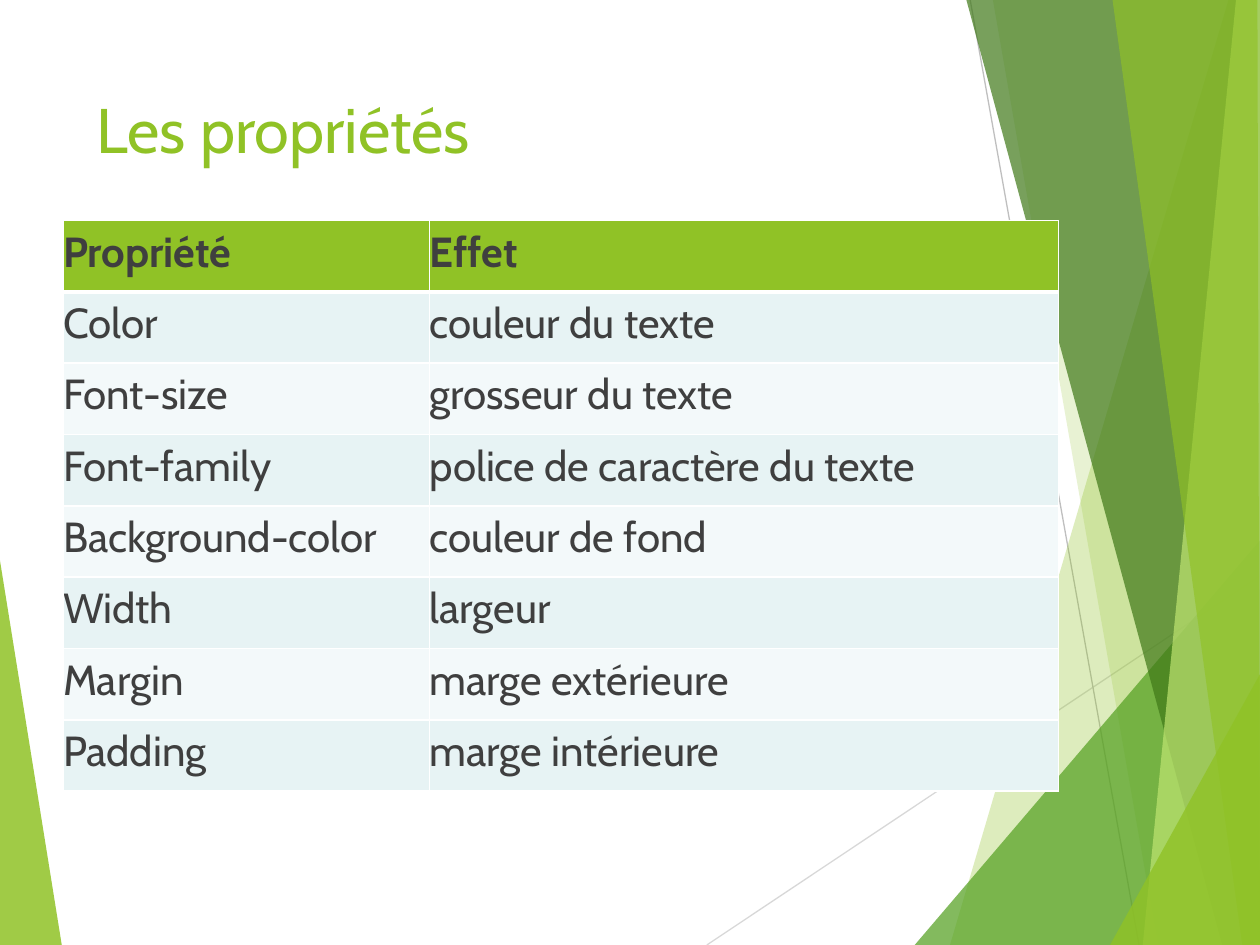
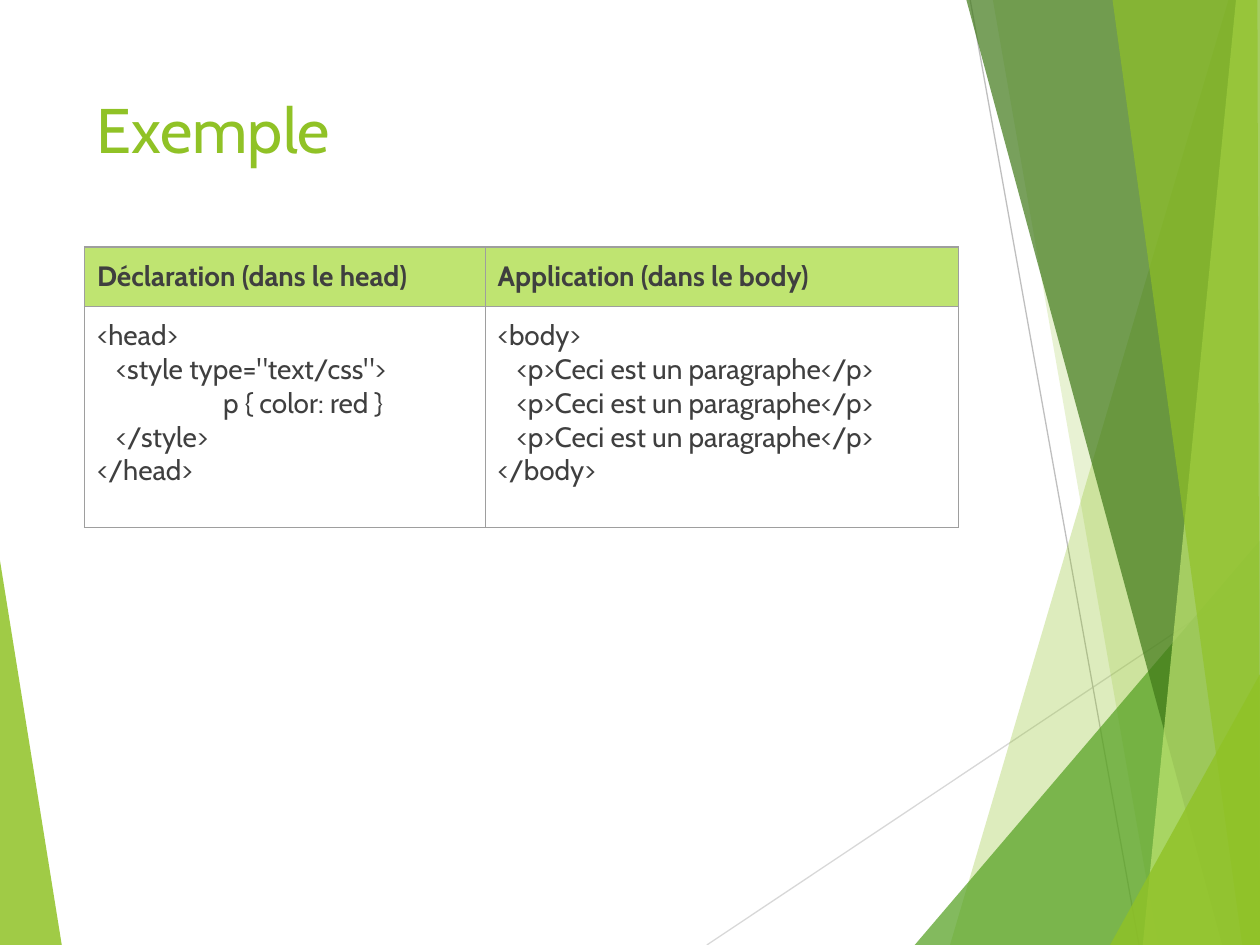
from lxml.etree import SubElement
from pptx import Presentation
from pptx.dml.color import RGBColor
from pptx.enum.shapes import MSO_CONNECTOR
from pptx.enum.text import MSO_ANCHOR
from pptx.oxml.ns import qn
from pptx.util import Inches, Pt

# Content
PROPS = [
    ("Propriété", "Effet"),
    ("Color", "couleur du texte"),
    ("Font-size", "grosseur du texte"),
    ("Font-family", "police de caractère du texte"),
    ("Background-color", "couleur de fond"),
    ("Width", "largeur"),
    ("Margin", "marge extérieure"),
    ("Padding", "marge intérieure"),
]
# Each code line is its indent in inches, then its text
STEP = 0.15
CALL = (STEP, "<p>Ceci est un paragraphe</p>")
HEAD = [
    (0, "<head>"),
    (STEP, '<style type="text/css">'),
    (1, "p { color: red }"),
    (STEP, "</style>"),
    (0, "</head>"),
]
BODY = [(0, "<body>"), CALL, CALL, CALL, (0, "</body>")]
CODE = [
    ("Déclaration (dans le head)", "Application (dans le body)"),
    (HEAD, BODY),
]

# Shared look
FONT = "Cabin"
GREEN, LIME, INK, WHITE, GRAY = "90C226", "BFE471", "3F3F3F", "FFFFFF", "9E9E9E"
BANDS = ("F3F9FA", "E7F3F4")
WIDE, HIGH = 10, 7.5

# Background: lines as ends and colour, panes as colour, opacity and corners
LINES = [
    ((5.61, HIGH), (WIDE, 4.57), "D8D8D8"),
    ((7.7, 0), (9.04, HIGH), "BFBFBF"),
]
LEFT = (GREEN, 85, [(0, 4.45), (0.49, HIGH), (0, HIGH)])
PANES = [
    (GREEN, 30, [(9.75, 0), (7.54, HIGH), (WIDE, HIGH), (WIDE, 0)]),
    (GREEN, 20, [(7.88, 0), (9.19, HIGH), (WIDE, HIGH), (WIDE, 0)]),
    ("54A021", 72, [(7.26, HIGH), (WIDE, 4.29), (WIDE, HIGH)]),
    ("3F7818", 70, [(7.67, 0), (9.7, HIGH), (WIDE, HIGH), (WIDE, 0)]),
    (LIME, 70, [(9.81, 0), (9.07, HIGH), (WIDE, HIGH), (WIDE, 0)]),
    (GREEN, 65, [(8.83, 0), (9.86, HIGH), (WIDE, HIGH), (9.98, 0)]),
    (GREEN, 80, [(8.81, HIGH), (WIDE, 5.35), (WIDE, HIGH)]),
]


def tint(code):
    return RGBColor.from_string(code)


def paint(fill, code):
    fill.solid()
    fill.fore_color.rgb = tint(code)


def write(frame, text, size=16, color=INK, bold=False):
    """Fill a frame with one string or a list of (indent, text) lines."""
    lines = [(0, text)] if isinstance(text, str) else text
    for num, (indent, words) in enumerate(lines):
        para = frame.add_paragraph() if num else frame.paragraphs[0]
        if indent:
            para._p.get_or_add_pPr().set("marL", str(Inches(indent)))
        run = para.add_run()
        run.text = words
        font = run.font
        font.name, font.size, font.bold = FONT, Pt(size), bold
        font.color.rgb = tint(color)


def pane(slide, color, clear, spots):
    spots = [(Inches(x), Inches(y)) for x, y in spots]
    path = slide.shapes.build_freeform(*spots[0])
    path.add_line_segments(spots[1:], close=True)
    shape = path.convert_to_shape()
    shape.shadow.inherit = False
    shape.line.fill.background()
    paint(shape.fill, color)
    tone = shape.fill._xPr.find(".//" + qn("a:srgbClr"))
    SubElement(tone, qn("a:alpha"), val=str(clear * 1000))


def scene(deck, title):
    """Start a slide with the shared background and title."""
    slide = deck.slides.add_slide(deck.slide_layouts[6])
    pane(slide, *LEFT)
    for start, end, color in LINES:
        ends = [Inches(n) for n in start + end]
        line = slide.shapes.add_connector(MSO_CONNECTOR.STRAIGHT, *ends)
        line.line.color.rgb = tint(color)
        line.line.width = Pt(0.75)
        SubElement(line._element.spPr, qn("a:effectLst"))
    for part in PANES:
        pane(slide, *part)
    place = [Inches(n) for n in (0.67, 0.67, 6.94, 1.44)]
    frame = slide.shapes.add_textbox(*place).text_frame
    frame.word_wrap = True
    write(frame, title, size=36, color=GREEN)
    return slide


def edge(cell, color, **widths):
    """Draw cell borders; widths in points by side: L, R, T, B."""
    props = cell._tc.get_or_add_tcPr()
    for side, width in widths.items():
        line = SubElement(props, qn("a:ln" + side), w=str(Pt(width)))
        fill = SubElement(line, qn("a:solidFill"))
        SubElement(fill, qn("a:srgbClr"), val=color)


def grid(slide, data, spot, cols, rows, fills, pad, size, rule, thin, thick):
    """Add a table; thick is the width of the rule under the header."""
    place = [Inches(n) for n in (*spot, sum(cols), sum(rows))]
    table = slide.shapes.add_table(len(rows), len(cols), *place).table
    table.first_row = table.horz_banding = False
    for col, width in zip(table.columns, cols):
        col.width = Inches(width)
    for r, (row, high) in enumerate(zip(data, rows)):
        table.rows[r].height = Inches(high)
        for c, text in enumerate(row):
            cell = table.cell(r, c)
            cell.margin_left = cell.margin_right = Inches(pad[0])
            cell.margin_top = cell.margin_bottom = Inches(pad[1])
            cell.vertical_anchor = MSO_ANCHOR.TOP
            edge(cell, rule, L=thin, R=thin,
                 T=thick if r == 1 else thin, B=thick if r == 0 else thin)
            if fills[r]:
                paint(cell.fill, fills[r])
            else:
                cell.fill.background()
            write(cell.text_frame, text, size=size, bold=r == 0)


def main():
    deck = Presentation()
    deck.slide_width, deck.slide_height = Inches(WIDE), Inches(HIGH)

    # Table of properties
    count = len(PROPS)
    fills = [GREEN] + [BANDS[r % 2] for r in range(1, count)]
    grid(scene(deck, "Les propriétés"), PROPS, (0.5, 1.75), (2.91, 4.99),
         [4.53 / count] * count, fills, pad=(0, 0.05), size=24,
         rule=WHITE, thin=1, thick=3)

    # Code example
    grid(scene(deck, "Exemple"), CODE, (0.67, 1.96), (3.18, 3.76),
         (0.47, 1.76), (LIME, None), pad=(0.1, 0.1), size=16,
         rule=GRAY, thin=0.75, thick=0.75)

    deck.save("out.pptx")


if __name__ == "__main__":
    main()
